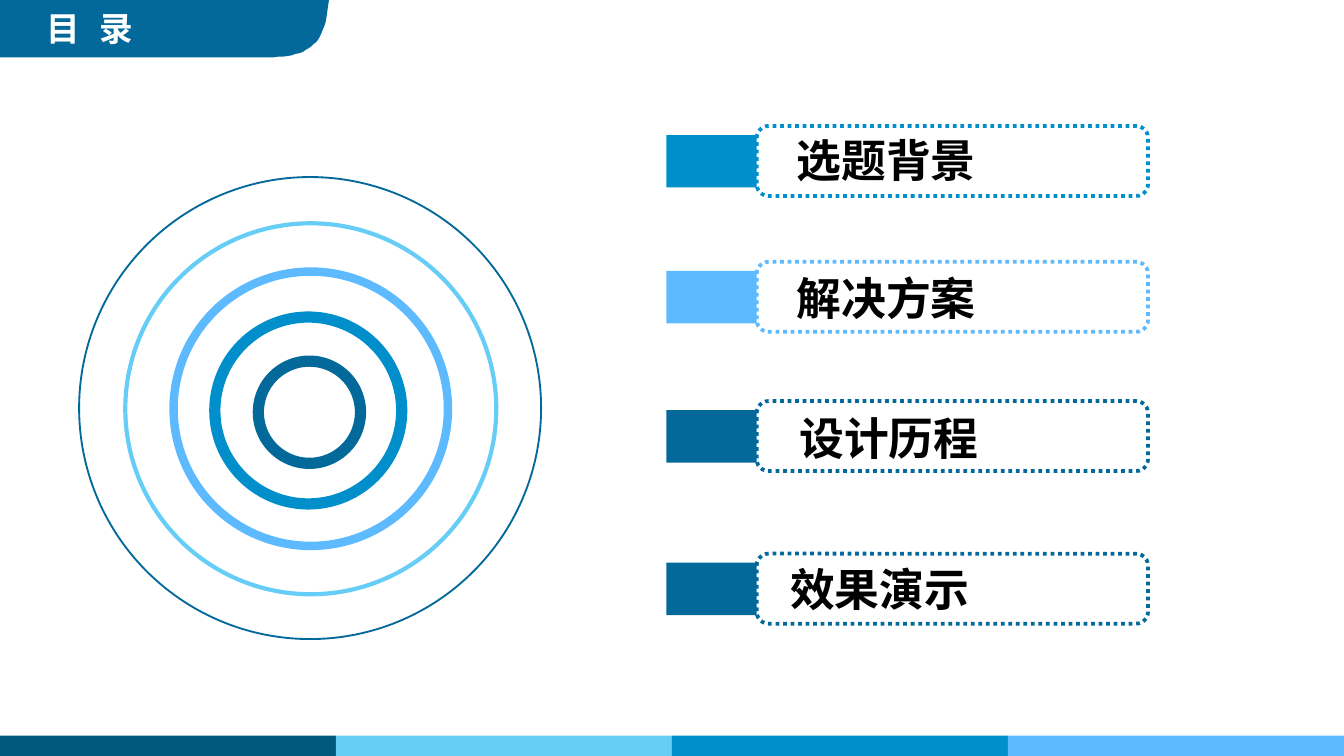
from lxml import etree
from pptx import Presentation, util as u
from pptx.dml.color import RGBColor
from pptx.enum import dml, shapes, text
from pptx.oxml.ns import qn

PX = 914400 / 192  # 192 px to the inch
WIDTH, HEIGHT = 1920, 1080
COLORS = {
    "navy": "00597C", "deep": "03689A", "blue": "008FCA",
    "sky": "5DBAFF", "pale": "66CEF6", "white": "FFFFFF", "black": "000000",
}


def emu(*lengths):
    return [u.Emu(round(n * PX)) for n in lengths]


def rgb(color):
    return RGBColor.from_string(COLORS[color])


class Deck:
    font = "Noto Sans CJK SC"

    def __init__(self):
        self.prs = Presentation()
        self.prs.slide_width, self.prs.slide_height = emu(WIDTH, HEIGHT)
        self.slide = self.prs.slides.add_slide(self.prs.slide_layouts[6])

    def paint(self, shape, fill=None, line=None, weight=1):
        shape.shadow.inherit = False
        if fill:
            shape.fill.solid()
            shape.fill.fore_color.rgb = rgb(fill)
        else:
            shape.fill.background()
        if line:
            shape.line.color.rgb = rgb(line)
            shape.line.width = u.Pt(weight)
        else:
            shape.line.fill.background()
        return shape

    def add(self, kind, box, **style):
        shape = self.slide.shapes.add_shape(kind, *emu(*box))
        return self.paint(shape, **style)

    def block(self, *box, color):
        return self.add(shapes.MSO_SHAPE.RECTANGLE, box, fill=color)

    def ring(self, left, top, size, color, weight):
        return self.add(shapes.MSO_SHAPE.OVAL, (left, top, size, size), line=color, weight=weight)

    def dotted_frame(self, *box, color):
        frame = self.add(shapes.MSO_SHAPE.ROUNDED_RECTANGLE, box, line=color, weight=2)
        frame.adjustments[0] = 0.17
        frame.line.dash_style = dml.MSO_LINE.ROUND_DOT
        return frame

    def outline(self, points, color):
        builder = self.slide.shapes.build_freeform(*points[0], scale=PX)
        builder.add_line_segments(points[1:], close=True)
        return self.paint(builder.convert_to_shape(), fill=color)

    def label(self, words, *box, size, color, wrap=False, spacing=0):
        frame = self.slide.shapes.add_textbox(*emu(*box)).text_frame
        frame.word_wrap = wrap
        frame.auto_size = text.MSO_AUTO_SIZE.SHAPE_TO_FIT_TEXT
        paragraph = frame.paragraphs[0]
        paragraph.text = words
        font = paragraph.font
        font.name, font.size, font.bold = self.font, u.Pt(size), True
        font.color.rgb = rgb(color)
        # East Asian typeface and letter spacing
        props = paragraph._p.pPr.find(qn("a:defRPr"))
        etree.SubElement(props, qn("a:ea"), typeface=self.font)
        if spacing:
            props.set("spc", str(spacing * 100))


def bezier(p0, p1, p2, p3, steps=24):
    points = []
    for i in range(steps + 1):
        t = i / steps
        weights = ((1 - t) ** 3, 3 * t * (1 - t) ** 2, 3 * t * t * (1 - t), t ** 3)
        points.append(tuple(
            round(sum(w * c for w, c in zip(weights, axis)), 2)
            for axis in zip(p0, p1, p2, p3)))
    return points


def main():
    deck = Deck()

    # Footer band
    band = ["navy", "pale", "blue", "sky"]
    part = WIDTH // len(band)
    for i, color in enumerate(band):
        deck.block(i * part, 1051, part, 29, color=color)

    # Concentric rings
    for ring in [
        (113, 253, 660, "deep", 1),
        (179, 319, 530, "pale", 2.25),
        (248, 388, 392, "sky", 4.5),
        (307, 453, 267, "blue", 6),
        (369, 516, 146, "deep", 6),
    ]:
        deck.ring(*ring)

    # Title tab
    corner = bezier((470, 0), (465, 60), (447, 81), (382, 82))
    deck.outline([(0, 0), *corner, (0, 82)], "deep")
    deck.label("目 录", 48, 2, 380, 77, size=18, color="white", wrap=True, spacing=3)

    # Contents: frame top, label left, label top
    for topic, color, top, label_left, label_top in [
        ("选题背景", "blue", 180, 1119, 180),
        ("解决方案", "sky", 374, 1119, 378),
        ("设计历程", "deep", 573, 1123, 577),
        ("效果演示", "deep", 791, 1110, 793),
    ]:
        deck.block(952, top + 13, 129, 75, color=color)
        deck.dotted_frame(1081, top, 559, 100, color=color)
        deck.label(topic, label_left, label_top, 294, 96, size=24, color="black")

    deck.prs.save("out.pptx")


if __name__ == "__main__":
    main()
